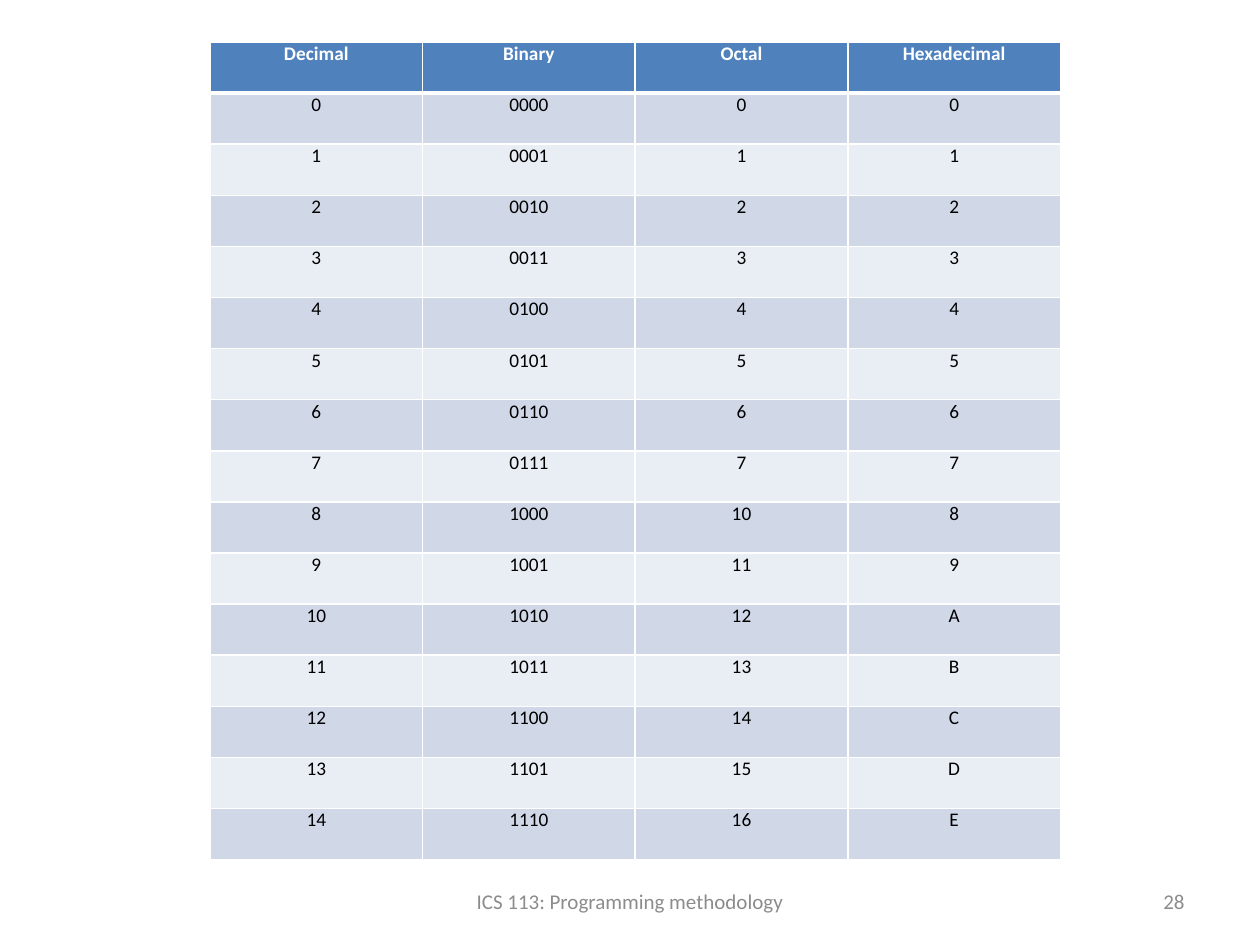
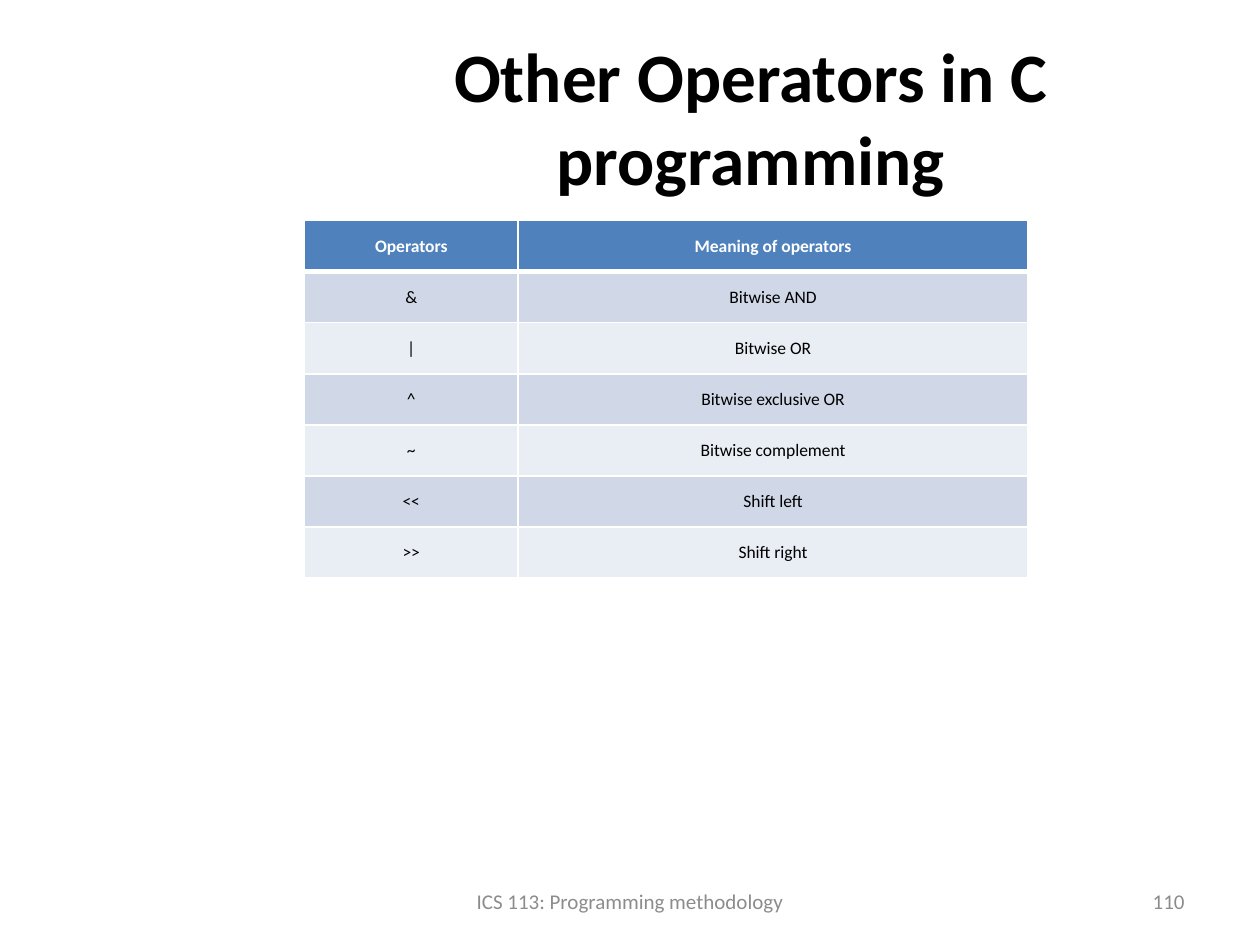
from lxml import etree
from pptx import Presentation
from pptx.dml.color import RGBColor
from pptx.enum.text import MSO_ANCHOR, PP_ALIGN
from pptx.oxml.ns import qn
from pptx.util import Pt

CENTER, RIGHT = PP_ALIGN.CENTER, PP_ALIGN.RIGHT
TOP, MIDDLE = MSO_ANCHOR.TOP, MSO_ANCHOR.MIDDLE
COLORS = {
    "header": "4F81BD",
    "band_dark": "D0D8E8",
    "band_light": "E9EDF4",
    "white": "FFFFFF",
    "text": "000000",
    "footer": "8C8C8C",
}
FONT = "Calibri"
ROW_HEIGHT = 29.2
FOOTER_TEXT = "ICS 113: Programming methodology"
TITLE_BOX = (174, 21.6, 510, 90)
FOOTER_BOX = (246, 500.5, 228, 28.75)
NUMBER_BOX = (516, 500.5, 168, 28.75)

NUMBER_ROWS = [("Decimal", "Binary", "Octal", "Hexadecimal")] + [
    (f"{number}", f"{number:04b}", f"{number:o}", f"{number:X}") for number in range(15)
]
OPERATOR_ROWS = [
    ("Operators", "Meaning of operators"),
    ("&", "Bitwise AND"),
    ("|", "Bitwise OR"),
    ("^", "Bitwise exclusive OR"),
    ("~", "Bitwise complement"),
    ("<<", "Shift left"),
    (">>", "Shift right"),
]


def style_paragraph(paragraph, text, size, color, alignment=CENTER, bold=False):
    """Write one paragraph in the shared font."""
    paragraph.text = text
    paragraph.alignment = alignment
    font = paragraph.font
    font.name, font.size, font.bold = FONT, Pt(size), bold
    font.color.rgb = RGBColor.from_string(COLORS[color])


def add_text(slide, box, text, size, color, alignment=CENTER, bold=False):
    """Add a wrapping, vertically centred text box."""
    frame = slide.shapes.add_textbox(*map(Pt, box)).text_frame
    frame.word_wrap = True
    frame.vertical_anchor = MIDDLE
    style_paragraph(frame.paragraphs[0], text, size, color, alignment, bold)


def set_borders(cell, top, bottom):
    """Draw white borders, with the given widths above and below the cell."""
    properties = cell._tc.get_or_add_tcPr()
    for side, width in (("L", 1), ("R", 1), ("T", top), ("B", bottom)):
        line = etree.SubElement(properties, qn(f"a:ln{side}"), w=str(Pt(width)))
        fill = etree.SubElement(line, qn("a:solidFill"))
        etree.SubElement(fill, qn("a:srgbClr"), val=COLORS["white"])


def add_banded_table(slide, left, top, column_widths, rows, size, anchor, inset):
    """Add a table with a blue header and alternating row bands."""
    table = slide.shapes.add_table(
        len(rows), len(column_widths), Pt(left), Pt(top),
        Pt(sum(column_widths)), Pt(ROW_HEIGHT * len(rows)),
    ).table
    for column, width in zip(table.columns, column_widths):
        column.width = Pt(width)
    for row_index, values in enumerate(rows):
        table.rows[row_index].height = Pt(ROW_HEIGHT)
        is_header = row_index == 0
        band = "header" if is_header else "band_dark" if row_index % 2 else "band_light"
        for column_index, value in enumerate(values):
            cell = table.cell(row_index, column_index)
            set_borders(cell, 3 if row_index == 1 else 1, 3 if is_header else 1)
            cell.fill.solid()
            cell.fill.fore_color.rgb = RGBColor.from_string(COLORS[band])
            cell.margin_left = cell.margin_right = Pt(inset)
            cell.margin_top = cell.margin_bottom = Pt(inset)
            cell.vertical_anchor = anchor
            style_paragraph(cell.text_frame.paragraphs[0], value, size,
                            "white" if is_header else "text", bold=is_header)


def add_footer(slide, number):
    """Add the course name and the slide number."""
    add_text(slide, FOOTER_BOX, FOOTER_TEXT, 12, "footer")
    add_text(slide, NUMBER_BOX, str(number), 12, "footer", RIGHT)


def build_number_systems(slide):
    """Fill the slide that compares number systems."""
    add_banded_table(slide, 120, 24, [121.5] * 4, NUMBER_ROWS, 11, TOP, 0)
    add_footer(slide, 28)


def build_operators(slide):
    """Fill the slide that lists the bitwise operators."""
    add_text(slide, TITLE_BOX, "Other Operators in C programming", 39.6, "text", bold=True)
    add_banded_table(slide, 174, 126, [122, 291.5], OPERATOR_ROWS, 10, MIDDLE, 0.75)
    add_footer(slide, 110)


def main():
    """Build and save the presentation."""
    presentation = Presentation()
    presentation.slide_width, presentation.slide_height = Pt(720), Pt(540)
    for build in (build_number_systems, build_operators):
        build(presentation.slides.add_slide(presentation.slide_layouts[6]))
    presentation.save("out.pptx")


if __name__ == "__main__":
    main()
